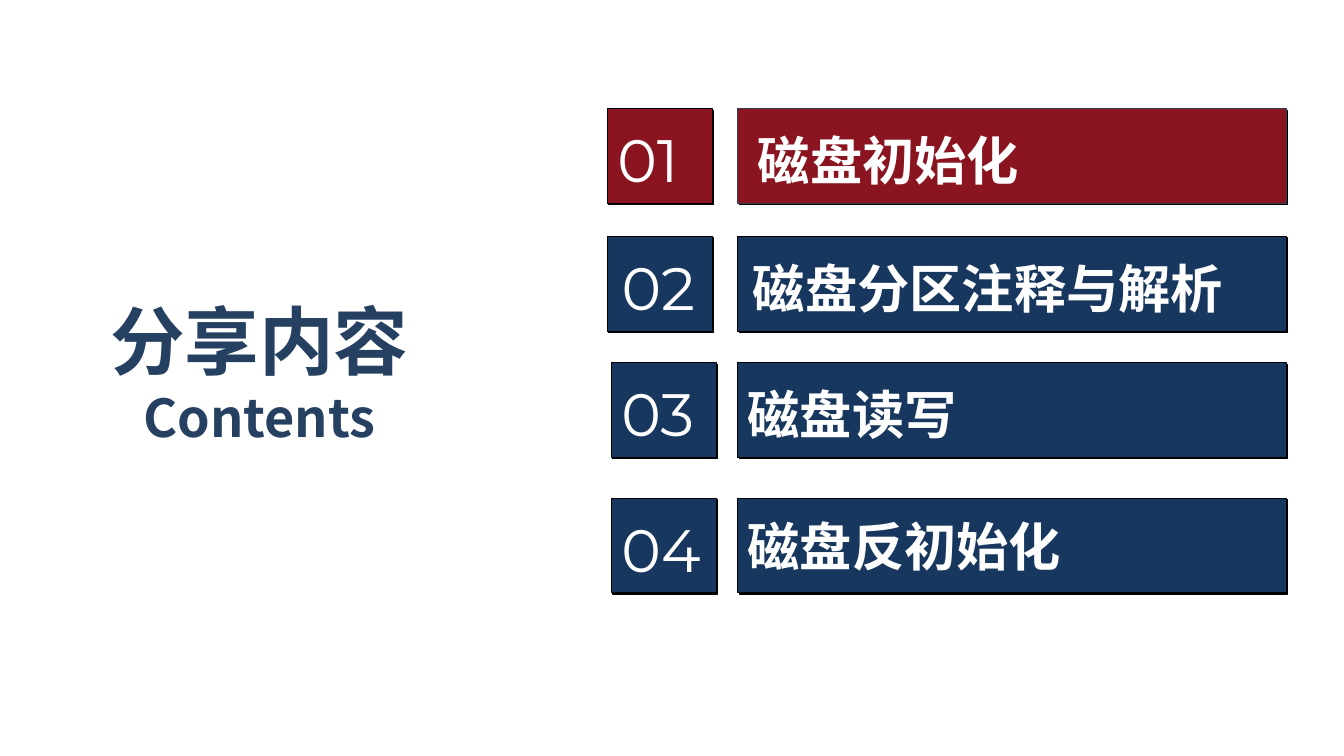
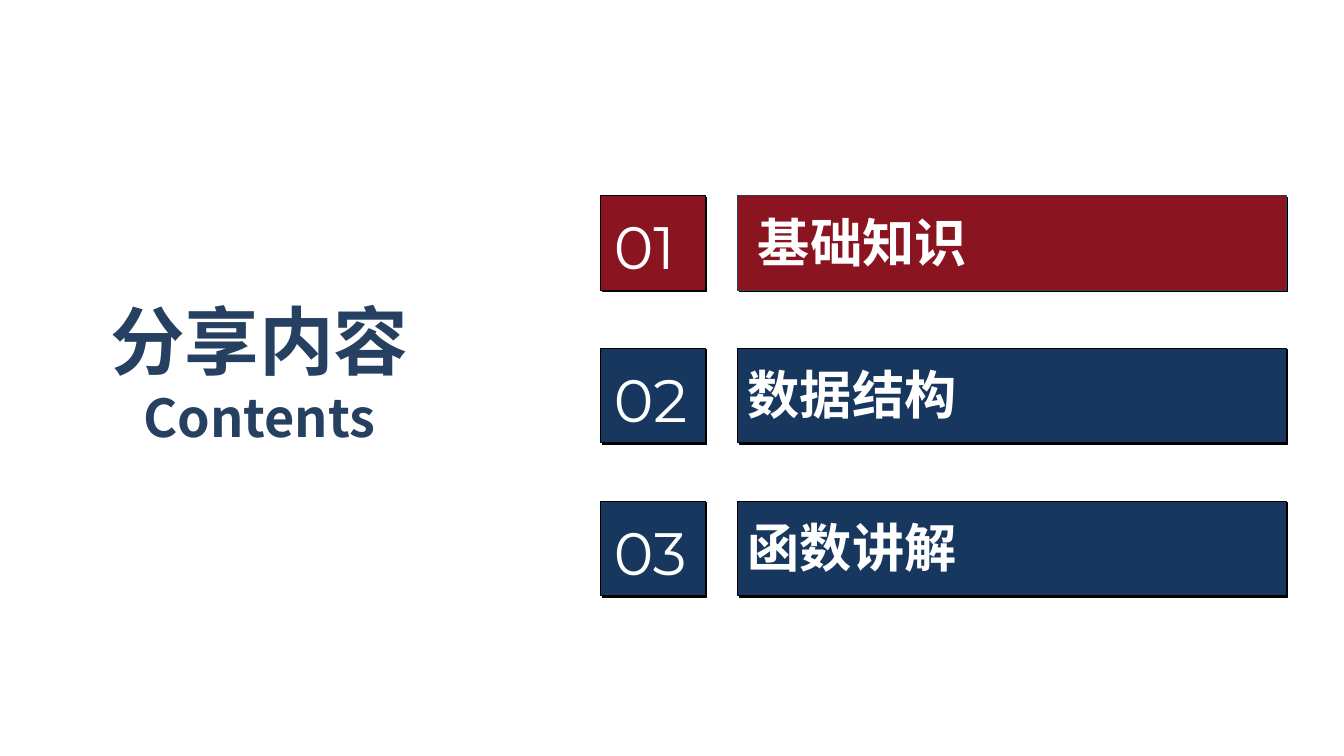
"""Build two contents slides with numbered, shadowed bars."""
from lxml import etree
from pptx import Presentation
from pptx.dml.color import RGBColor
from pptx.enum.shapes import MSO_SHAPE
from pptx.enum.text import MSO_ANCHOR, MSO_AUTO_SIZE, PP_ALIGN
from pptx.oxml.ns import qn
from pptx.util import Inches, Pt

RED = RGBColor(0x8A, 0x14, 0x20)
NAVY = RGBColor(0x17, 0x37, 0x5E)
TITLE_BLUE = RGBColor(0x25, 0x40, 0x61)
SLATE = RGBColor(0x32, 0x3F, 0x4F)
BLACK = RGBColor(0, 0, 0)
WHITE = RGBColor(0xFF, 0xFF, 0xFF)
HEADING_FONT = "Noto Sans CJK SC"
NUMBER_FONT = "Montserrat"

presentation = Presentation()
presentation.slide_width = Inches(13.33)
presentation.slide_height = Inches(7.5)
COLUMN = presentation.slide_width / 100
ROW = presentation.slide_height / 100
TILE_WIDTH, BAR_LEFT, BAR_WIDTH, BAR_HEIGHT = 7.8, 54.9, 40.8, 12.5


def format_paragraph(paragraph, size, color, name, bold, alignment):
    paragraph.alignment = alignment
    paragraph.font.size = Pt(size)
    paragraph.font.bold = bold
    paragraph.font.color.rgb = color
    paragraph.font.name = name
    properties = paragraph._p.pPr.find(qn("a:defRPr"))
    etree.SubElement(properties, qn("a:ea"), typeface=name)


def add_block(slide, left, top, width, fill, line, text, insets, size, name, bold):
    shape = slide.shapes.add_shape(
        MSO_SHAPE.RECTANGLE, round(left * COLUMN), round(top * ROW),
        round(width * COLUMN), round(BAR_HEIGHT * ROW))
    shape.fill.solid()
    shape.fill.fore_color.rgb = fill
    shape.line.color.rgb = line
    shape.line.width = Pt(0.75)
    shape.shadow.inherit = False
    effects = shape._element.spPr.find(qn("a:effectLst"))
    shadow = etree.SubElement(
        effects, qn("a:outerShdw"), blurRad="0", dist=str(Pt(1.4)),
        dir="2700000", algn="tl", rotWithShape="0")
    etree.SubElement(shadow, qn("a:srgbClr"), val=str(BLACK))
    frame = shape.text_frame
    frame.word_wrap = True
    frame.vertical_anchor = MSO_ANCHOR.TOP
    frame.margin_left, frame.margin_top = [Inches(inset) for inset in insets]
    frame.margin_right = frame.margin_bottom = 0
    frame.text = text
    format_paragraph(frame.paragraphs[0], size, WHITE, name, bold, PP_ALIGN.LEFT)


pages = [
    [
        ("磁盘初始化", 45.2, 14.4, 0.1, (0.2, 0.19)),
        ("磁盘分区注释与解析", 45.2, 31.3, 0.14, (0.15, 0.19)),
        ("磁盘读写", 45.5, 48, 0.1, (0.1, 0.19)),
        ("磁盘反初始化", 45.5, 65.9, 0.1, (0.1, 0.16)),
    ],
    [
        (label, 44.7, 25.9 + 20.2 * row, 0.13, (label_left, 0.14))
        for row, (label, label_left) in enumerate(
            [("基础知识", 0.2), ("数据结构", 0.1), ("函数讲解", 0.1)])
    ],
]

for entries in pages:
    slide = presentation.slides.add_slide(presentation.slide_layouts[5])
    title = slide.shapes.title
    title.left, title.width = round(7.3 * COLUMN), round(24 * COLUMN)
    title.top, title.height = round(38.4 * ROW), round(21.7 * ROW)
    frame = title.text_frame
    frame.word_wrap = False
    frame.auto_size = MSO_AUTO_SIZE.NONE
    frame.vertical_anchor = MSO_ANCHOR.TOP
    frame.text = "分享内容\nContents"
    for paragraph, size in zip(frame.paragraphs, (53.3, 37.3)):
        format_paragraph(paragraph, size, TITLE_BLUE, HEADING_FONT, True, PP_ALIGN.CENTER)

    for number, (label, tile_left, top, number_left, label_insets) in enumerate(entries, 1):
        fill, bar_line = (RED, SLATE) if number == 1 else (NAVY, BLACK)
        add_block(slide, tile_left, top, TILE_WIDTH, fill, BLACK, f"{number:02}",
                  (number_left, 0.14), 42.7, NUMBER_FONT, False)
        add_block(slide, BAR_LEFT, top, BAR_WIDTH, fill, bar_line, label,
                  label_insets, 37.3, HEADING_FONT, True)

presentation.save("out.pptx")
